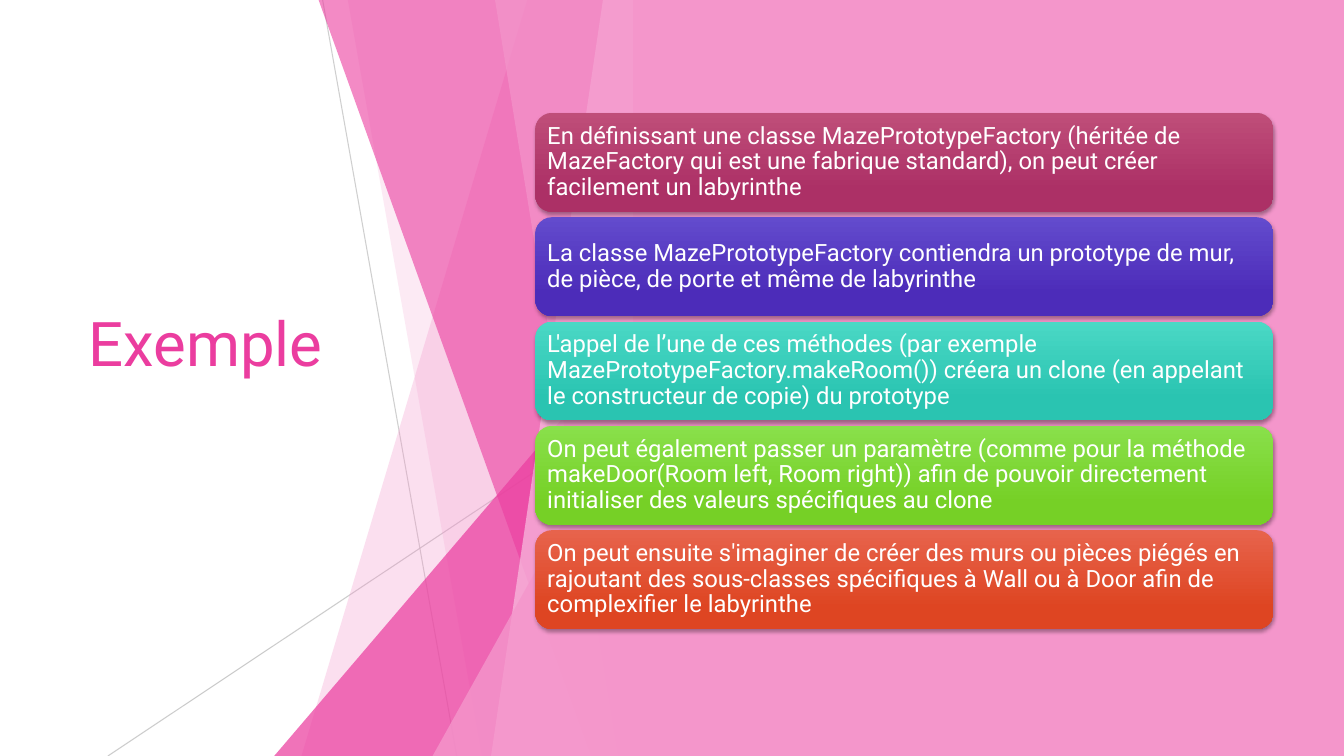
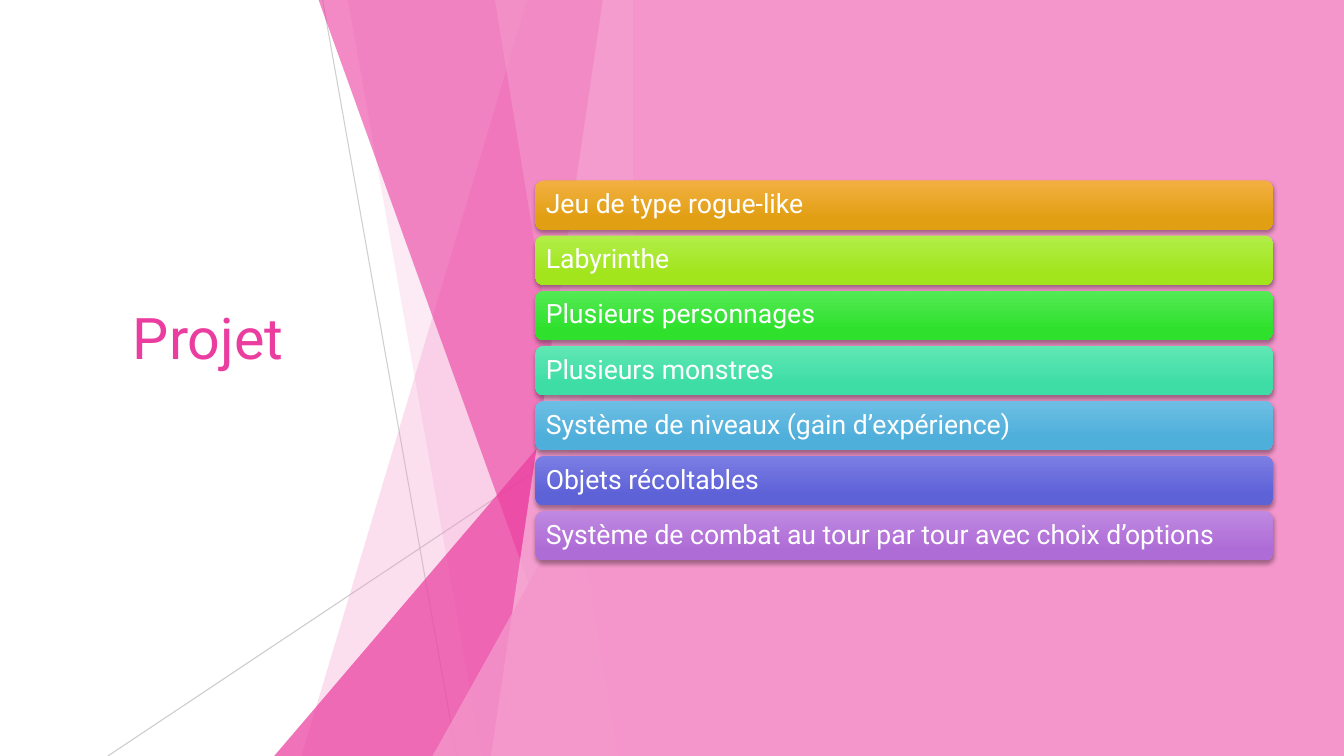
from lxml.etree import SubElement as Sub
from pptx import Presentation
from pptx.dml.color import RGBColor as RGB
from pptx.enum.shapes import MSO_CONNECTOR as Link, MSO_SHAPE as Form
from pptx.enum.text import MSO_ANCHOR as Anchor, PP_ALIGN as Align
from pptx.oxml.ns import qn
from pptx.util import Pt

PX = 9144  # 100 px to the inch
WIDE, HIGH = 1333, 750
EDGE = 628  # left side of the plain panel
FONT = "Roboto"
HUES = {
    "white": "FFFFFF", "black": "000000", "grey": "BFBFBF",
    "deep": "EB3D9F", "pink": "F496CB", "pale": "F8C0E0",
}

# Thin lines: start x, y, end x, opacity
RAYS = [(320, 0, 453, 75), (628, 403, 107, 80)]
# Facets, back to front; a band has top and bottom x, a wedge left x and top y
FACETS = [
    ("band", 523, 299, "pink", 30),
    ("band", 345, 478, "pink", 20),
    ("wedge", 272, 333, "deep", 72),
    ("band", 316, 586, "deep", 60),
    ("band", 598, 487, "pale", 70),
    ("band", 491, 613, "pink", 65),
    ("wedge", 429, 393, "pink", 80),
]

# Cards: text, top colour, bottom colour
EXAMPLE = [
    ("En définissant une classe MazePrototypeFactory (héritée de MazeFactory "
     "qui est une fabrique standard), on peut créer facilement un labyrinthe",
     "BF4E79", "AC3066"),
    ("La classe MazePrototypeFactory contiendra un prototype de mur, de pièce, "
     "de porte et même de labyrinthe", "634BCD", "4C2CB9"),
    ("L'appel de l’une de ces méthodes (par exemple "
     "MazePrototypeFactory.makeRoom()) créera un clone (en appelant le "
     "constructeur de copie) du prototype", "4AD8C5", "2AC4B1"),
    ("On peut également passer un paramètre (comme pour la méthode "
     "makeDoor(Room left, Room right)) afin de pouvoir directement initialiser "
     "des valeurs spécifiques au clone", "89E04B", "76D026"),
    ("On peut ensuite s'imaginer de créer des murs ou pièces piégés en "
     "rajoutant des sous-classes spécifiques à Wall ou à Door afin de "
     "complexifier le labyrinthe", "E7634C", "DE4522"),
]
PROJECT = [
    ("Jeu de type rogue-like", "F3B042", "E19F13"),
    ("Labyrinthe", "B1EE49", "A2E51C"),
    ("Plusieurs personnages", "54EA54", "2FE12D"),
    ("Plusieurs monstres", "60E7B5", "3EDDA6"),
    ("Système de niveaux (gain d’expérience)", "6DBEE4", "4EAFDA"),
    ("Objets récoltables", "7B7EE3", "5E62D7"),
    ("Système de combat au tour par tour avec choix d’options",
     "BF88E1", "AE6DD6"),
]


def px(*nums):
    return [round(n * PX) for n in nums]


def tint(hue):
    return RGB.from_string(HUES.get(hue, hue))


def fade(shape, pct):
    """Set the opacity of every colour in the shape."""
    for color in shape.element.spPr.iter(qn("a:srgbClr")):
        Sub(color, qn("a:alpha"), val=str(pct * 1000))


def paint(shape, hue, pct=100):
    shape.shadow.inherit = False
    shape.line.fill.background()
    shape.fill.solid()
    shape.fill.fore_color.rgb = tint(hue)
    if pct < 100:
        fade(shape, pct)


def ray(slide, x, y, end, pct):
    line = slide.shapes.add_connector(Link.STRAIGHT, *px(x, y, end, HIGH))
    line.line.color.rgb = tint("grey")
    line.line.width = Pt(0.75)
    fade(line, pct)
    Sub(line.element.spPr, qn("a:effectLst"))


def band(slide, top, low, hue, pct):
    pen = slide.shapes.build_freeform(top, 0, scale=PX)
    pen.add_line_segments([(EDGE, 0), (EDGE, HIGH), (low, HIGH)])
    paint(pen.convert_to_shape(), hue, pct)


def wedge(slide, left, top, hue, pct):
    shape = slide.shapes.add_shape(
        Form.ISOSCELES_TRIANGLE, *px(left, top, EDGE - left, HIGH - top))
    shape.adjustments[0] = 1
    paint(shape, hue, pct)


def panel(slide):
    shape = slide.shapes.add_shape(
        Form.RECTANGLE, *px(EDGE, 0, WIDE - EDGE, HIGH))
    paint(shape, "pink")


def write(frame, text, size, hue, inset):
    frame.word_wrap = True
    frame.vertical_anchor = Anchor.MIDDLE
    frame.margin_left = frame.margin_right = inset * PX
    frame.margin_top = frame.margin_bottom = inset * PX
    frame.text = text
    para = frame.paragraphs[0]
    para.alignment = Align.LEFT
    font = para.runs[0].font
    font.name, font.size, font.color.rgb = FONT, Pt(size), tint(hue)
    return para


def title(slide, text, left, top, width, size):
    box = slide.shapes.add_textbox(*px(left, top, width, 448))
    write(box.text_frame, text, size, "deep", 10)


def shade(shape):
    """Drop a soft shadow straight down."""
    shape.shadow.inherit = False
    effects = shape.element.spPr.find(qn("a:effectLst"))
    drop = Sub(effects, qn("a:outerShdw"), blurRad=str(Pt(3)),
               dist=str(Pt(2)), dir="5400000", rotWithShape="0")
    color = Sub(drop, qn("a:srgbClr"), val=HUES["black"])
    Sub(color, qn("a:alpha"), val="35000")


def card(slide, top, high, text, light, dark, size, inset):
    shape = slide.shapes.add_shape(
        Form.ROUNDED_RECTANGLE, *px(531, top, 732, high))
    shape.line.fill.background()
    shape.fill.gradient()
    shape.fill.gradient_angle = 270
    stops = shape.fill.gradient_stops
    for stop, place, hue in zip(stops, (0, 0.78), (light, dark)):
        stop.position = place
        stop.color.rgb = tint(hue)
    shade(shape)
    para = write(shape.text_frame, text, size, "white", inset)
    para.line_spacing = 0.9


def stack(slide, cards, first, last, high, size, inset):
    """Spread the cards evenly from the first top to the last."""
    step = (last - first) / (len(cards) - 1)
    for i, (text, light, dark) in enumerate(cards):
        card(slide, first + i * step, high, text, light, dark, size, inset)


def page(deck, *head):
    """Add a slide with the shared backdrop and its title."""
    slide = deck.slides.add_slide(deck.slide_layouts[6])
    for item in RAYS:
        ray(slide, *item)
    draw = {"band": band, "wedge": wedge}
    for kind, *rest in FACETS:
        draw[kind](slide, *rest)
    title(slide, *head)
    panel(slide)
    return slide


def main():
    deck = Presentation()
    deck.slide_width, deck.slide_height = px(WIDE, HIGH)

    slide = page(deck, "Exemple", 78, 115, 493, 44)
    stack(slide, EXAMPLE, 112, 526, 98, 17, 7)

    slide = page(deck, "Projet", 122, 110, 388, 41)
    stack(slide, PROJECT, 179, 507, 49, 19, 8)

    deck.save("out.pptx")


if __name__ == "__main__":
    main()
